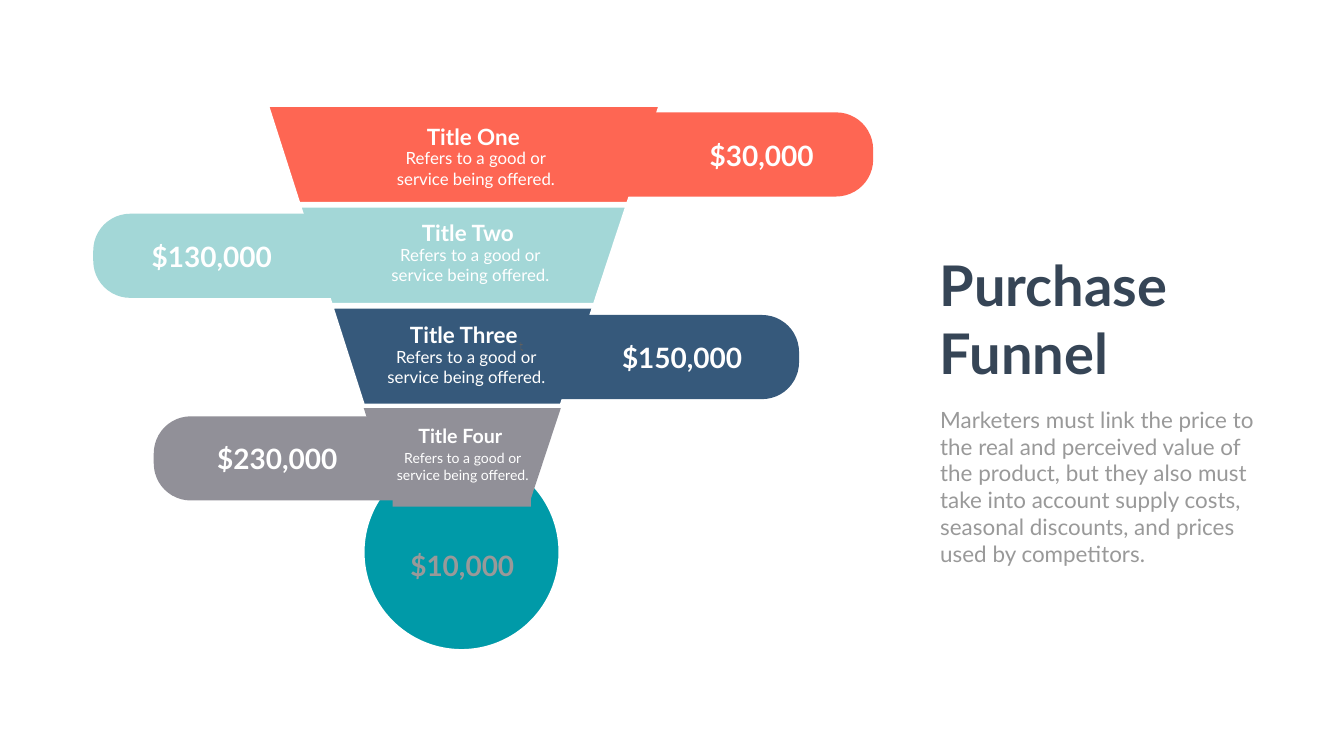
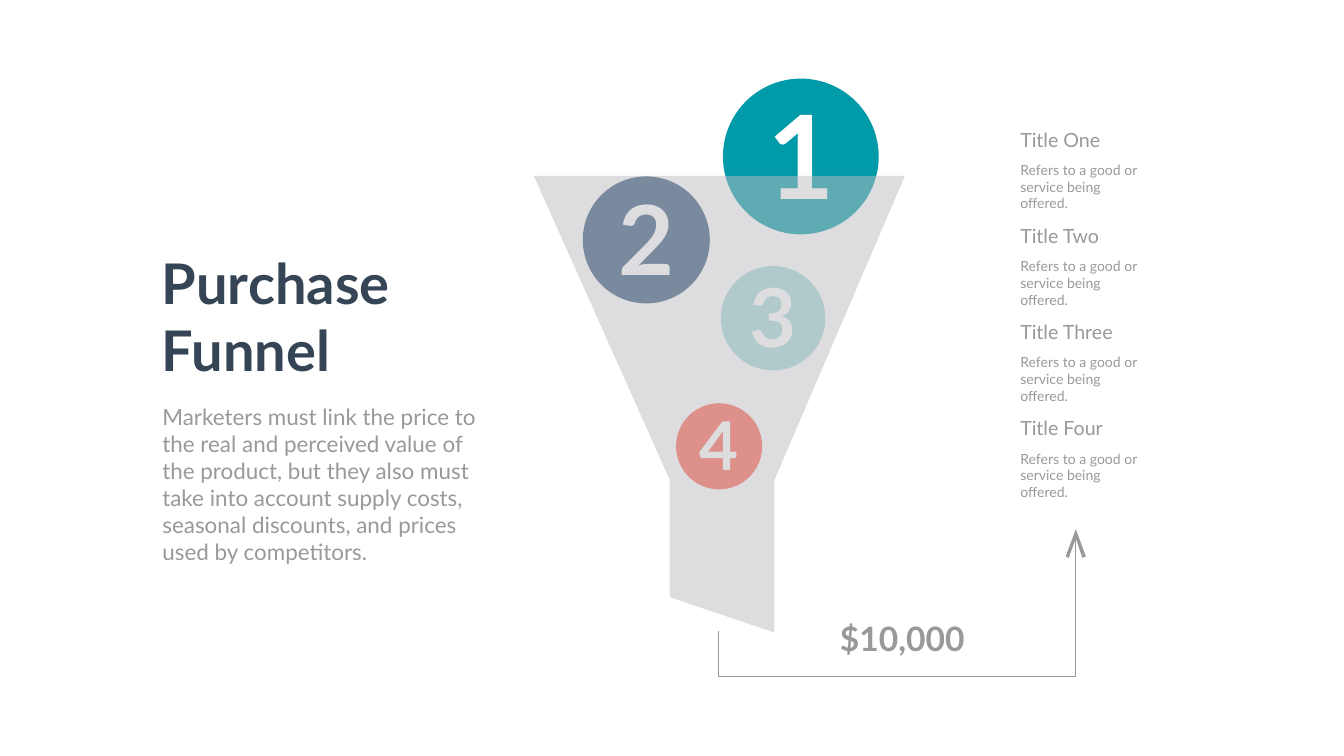
from dataclasses import dataclass

from lxml import etree
from pptx import Presentation
from pptx.dml.color import RGBColor
from pptx.enum.shapes import MSO_SHAPE
from pptx.enum.text import MSO_ANCHOR, MSO_AUTO_SIZE, PP_ALIGN
from pptx.oxml.ns import qn
from pptx.util import Inches, Pt

OVAL = MSO_SHAPE.OVAL
PILL = MSO_SHAPE.ROUND_2_SAME_RECTANGLE
TOP = MSO_ANCHOR.TOP
GROW, FIXED = MSO_AUTO_SIZE.SHAPE_TO_FIT_TEXT, MSO_AUTO_SIZE.NONE
LEFT, CENTER = PP_ALIGN.LEFT, PP_ALIGN.CENTER

# The slide is a grid of square cells, one inch each
COLUMNS, ROWS = 26.66, 15
TITLE_AND_BODY = 1


@dataclass(frozen=True)
class Theme:
    font: str = "Lato"
    heading: str = "364556"
    muted: str = "999999"
    white: str = "FFFFFF"
    teal: str = "009AA8"
    coral: str = "FE6653"
    mint: str = "A3D7D7"
    navy: str = "36597B"
    gray: str = "919098"
    glass: str = "BDBCC1"
    mark: str = "606060"
    title_size: int = 80
    body_size: int = 32
    total_size: int = 48
    value_size: int = 40
    label_size: int = 28
    note_size: int = 20
    gap_line: float = 6
    route_line: float = 1.45


THEME = Theme()


@dataclass(frozen=True)
class Box:
    left: float
    top: float
    width: float
    height: float

    def area(self, left, top, width, height):
        return Box(self.left + left, self.top + top, width, height)

    def frame(self):
        return [Inches(n) for n in (self.left, self.top, self.width, self.height)]


TITLE = "Purchase Funnel"
SUMMARY = ("Marketers must link the price to the real and perceived value of the "
           "product, but they also must take into account supply costs, seasonal "
           "discounts, and prices used by competitors.")
LABELS = ["Title One", "Title Two", "Title Three", "Title Four"]
NOTE = ["Refers to a good or", "service being offered."]
TOTAL = "$10,000"


@dataclass(frozen=True)
class Tier:
    color: str
    value: str
    pill_left: float
    faces_right: bool
    value_inset: float
    text_center: float
    text_drop: float
    label_size: int = 32
    note_size: int = 24


TIERS = [
    Tier(THEME.coral, "$30,000", 10.54, True, 1.59, 7.54, 0.31),
    Tier(THEME.mint, "$130,000", 0, False, 1.06, 7.43, 0.22),
    Tier(THEME.navy, "$150,000", 9.07, True, 1.32, 7.35, 0.24),
    Tier(THEME.gray, "$230,000", 1.2, False, 1.16, 7.28, 0.29,
         THEME.label_size, THEME.note_size),
]

# Left, top, diameter, digit size and colour of each ball, relative to the funnel
BALLS = [
    (3.75, 0, 3.09, 166, THEME.teal),
    (0.97, 1.94, 2.52, 138, THEME.navy),
    (3.71, 3.72, 2.07, 116, THEME.mint),
    (2.82, 6.44, 1.71, 96, THEME.coral),
]


# Shared drawing helpers
def paint(shape, fill=None, line=None, line_width=0.0):
    shape.shadow.inherit = False
    if fill:
        shape.fill.solid()
        shape.fill.fore_color.rgb = RGBColor.from_string(fill)
    else:
        shape.fill.background()
    if line:
        shape.line.color.rgb = RGBColor.from_string(line)
        shape.line.width = Pt(line_width)
    else:
        shape.line.fill.background()


def write(paragraph, text, size, color, bold=False, align=LEFT):
    paragraph.alignment = align
    run = paragraph.add_run()
    run.text = text
    run.font.name = THEME.font
    run.font.size = Pt(size)
    run.font.bold = bold
    run.font.color.rgb = RGBColor.from_string(color)


def add_text(slide, box, lines, size, color, bold=False, align=LEFT):
    text_frame = slide.shapes.add_textbox(*box.frame()).text_frame
    text_frame.word_wrap = False
    text_frame.auto_size = GROW
    for number, line in enumerate(lines):
        paragraph = text_frame.add_paragraph() if number else text_frame.paragraphs[0]
        write(paragraph, line, size, color, bold, align)


def add_outline(slide, box, points, closed=True):
    """Draw a polygon whose points are columns and rows from the box corner."""
    places = [(Inches(box.left + x), Inches(box.top + y)) for x, y in points]
    builder = slide.shapes.build_freeform(*places[0], scale=1.0)
    builder.add_line_segments(places[1:], close=closed)
    return builder.convert_to_shape()


def add_circle(slide, box, color, line=None, line_width=0.0):
    circle = slide.shapes.add_shape(OVAL, *box.frame())
    paint(circle, color, line, line_width)


# Heading block: title and summary in the layout's placeholders
def fill_placeholder(placeholder, box, text, size, color, bold=False):
    placeholder.left, placeholder.top, placeholder.width, placeholder.height = box.frame()
    text_frame = placeholder.text_frame
    text_frame.word_wrap = True
    text_frame.auto_size = FIXED
    text_frame.vertical_anchor = TOP
    paragraph = text_frame.paragraphs[0]
    paragraph.space_before = Pt(0)
    write(paragraph, text, size, color, bold)
    return paragraph


def add_heading(slide, box):
    fill_placeholder(slide.shapes.title, box.area(0, 0, 5.57, 2.79),
                     TITLE, THEME.title_size, THEME.heading, True)
    paragraph = fill_placeholder(slide.placeholders[1],
                                 box.area(0.01, 3.07, box.width, 3.33),
                                 SUMMARY, THEME.body_size, THEME.muted)
    properties = paragraph._p.get_or_add_pPr()
    properties.set("marL", "0")
    properties.set("indent", "0")
    etree.SubElement(properties, qn("a:buNone"))


# Tiered funnel
def add_tier_band(slide, box, index, tier):
    def walls(depth):
        return 3.44 + 0.32 * depth, 11.26 - 0.33 * depth

    last = index == len(TIERS) - 1
    top = 2 * index
    slant_end = top + (1.81 if last else 1.97)
    bottom = top + 1.97
    top_left, top_right = walls(top)
    low_left, low_right = walls(slant_end)
    points = [(top_left, top), (top_right, top), (low_right, slant_end)]
    if last:
        points += [(low_right, bottom), (low_left, bottom)]
    points.append((low_left, slant_end))
    band = add_outline(slide, box, points)
    paint(band, tier.color, None if last else THEME.white, THEME.gap_line)


def add_pill(slide, box, tier):
    # The preset rounds its top corners, so it is turned on its side
    length, thickness = box.width, box.height
    upright = box.area((length - thickness) / 2, (thickness - length) / 2,
                       thickness, length)
    pill = slide.shapes.add_shape(PILL, *upright.frame())
    pill.adjustments[0] = 0.44
    pill.rotation = 90 if tier.faces_right else 270
    paint(pill, tier.color)
    add_text(slide, box.area(tier.value_inset, 0.46, 2.62, 0.77),
             [tier.value], THEME.value_size, THEME.white, True)


def add_tier_text(slide, box, index, tier):
    top = 2 * index + tier.text_drop
    width = 3.39
    left = tier.text_center - width / 2
    add_text(slide, box.area(left + 0.05, top + 0.5, width, 0.91),
             NOTE, tier.note_size, THEME.white, align=CENTER)
    add_text(slide, box.area(left, top, width, 0.64),
             [LABELS[index]], tier.label_size, THEME.white, True, CENTER)


def add_tiered_funnel(slide, box):
    # Outlet circle
    add_circle(slide, box.area(5.34, 6.91, 3.93, 3.93), THEME.teal,
               THEME.white, THEME.gap_line)
    add_text(slide, box.area(6.19, 8.76, 2.29, 0.77),
             [TOTAL], THEME.value_size, THEME.muted, True)
    # Bands from the bottom up, then the pills and the text over them
    for index, tier in reversed(list(enumerate(TIERS))):
        add_tier_band(slide, box, index, tier)
    for index, tier in enumerate(TIERS):
        add_pill(slide, box.area(tier.pill_left, 0.15 + 2.01 * index, 4.93, 1.67), tier)
    small_mark = add_outline(slide, box.area(8.46, 4.71, 0.07, 0.17), [
        (0.02, 0), (0.03, 0), (0.03, 0.04), (0.06, 0.04), (0.06, 0.06), (0.03, 0.06),
        (0.03, 0.14), (0.07, 0.15), (0.05, 0.17), (0.02, 0.15), (0.02, 0.06),
        (0, 0.06), (0, 0.04), (0.02, 0.04)])
    paint(small_mark, THEME.mark)
    for index, tier in enumerate(TIERS):
        add_tier_text(slide, box, index, tier)


# Glass funnel with numbered balls
def add_ball(slide, box, digit, size, color):
    add_circle(slide, box, color)
    width = 0.58 * size / 72 + 0.2
    height = 1.2 * size / 72 + 0.1
    digit_box = box.area((box.width - width) / 2, (box.height - height) / 2 - 0.06,
                         width, height)
    add_text(slide, digit_box, [digit], size, THEME.white, True)


def add_glass_funnel(slide, box):
    for number, (left, top, diameter, size, color) in enumerate(BALLS, 1):
        add_ball(slide, box.area(left, top, diameter, diameter), str(number), size, color)
    rim, neck, neck_left, neck_right = 1.93, 7.97, 2.7, 4.77
    glass = add_outline(slide, box, [
        (0, rim), (neck_left, neck), (neck_left, 10.29), (neck_right, box.height),
        (neck_right, neck), (box.width, rim)])
    paint(glass, THEME.glass)
    color = glass.fill._xPr.find(qn("a:solidFill"))[0]
    etree.SubElement(color, qn("a:alpha"), val="50000")


def add_route(slide, box):
    route = add_outline(slide, box, [(0, 2.03), (0, box.height), (7.07, box.height),
                                     (7.07, 0.17)], closed=False)
    paint(route, None, THEME.muted, THEME.route_line)
    tip = add_outline(slide, box.area(6.88, 0, 0.4, 0.57), [
        (0.2, 0), (0.4, 0.54), (0.33, 0.57), (0.2, 0.18), (0.06, 0.57), (0, 0.54)])
    paint(tip, THEME.muted)
    add_text(slide, box.area(2.3, 1.72, 2.71, 0.91),
             [TOTAL], THEME.total_size, THEME.muted, True)


def add_legend(slide, box):
    step = 1.91
    for index, label in enumerate(LABELS):
        item = box.area(0, index * step, box.width, step)
        add_text(slide, item.area(0, 0.67, item.width, 0.77),
                 NOTE, THEME.note_size, THEME.muted)
        add_text(slide, item.area(0, 0, 2.09, 0.57),
                 [label], THEME.label_size, THEME.muted)


# Slides
def add_slide(presentation):
    return presentation.slides.add_slide(presentation.slide_layouts[TITLE_AND_BODY])


def build_tier_slide(presentation):
    slide = add_slide(presentation)
    add_heading(slide, Box(18.54, 4.93, 6.63, 6.4))
    add_tiered_funnel(slide, Box(1.85, 2.08, 15.48, 10.84))


def build_ball_slide(presentation):
    slide = add_slide(presentation)
    add_heading(slide, Box(3.11, 4.88, 6.63, 6.4))
    add_glass_funnel(slide, Box(10.59, 1.56, 7.36, 10.99))
    add_route(slide, Box(14.26, 10.5, 7.28, 2.93))
    add_legend(slide, Box(20.14, 2.48, 2.81, 7.17))


def main():
    presentation = Presentation()
    presentation.slide_width = Inches(COLUMNS)
    presentation.slide_height = Inches(ROWS)
    build_tier_slide(presentation)
    build_ball_slide(presentation)
    presentation.save("out.pptx")


if __name__ == "__main__":
    main()
